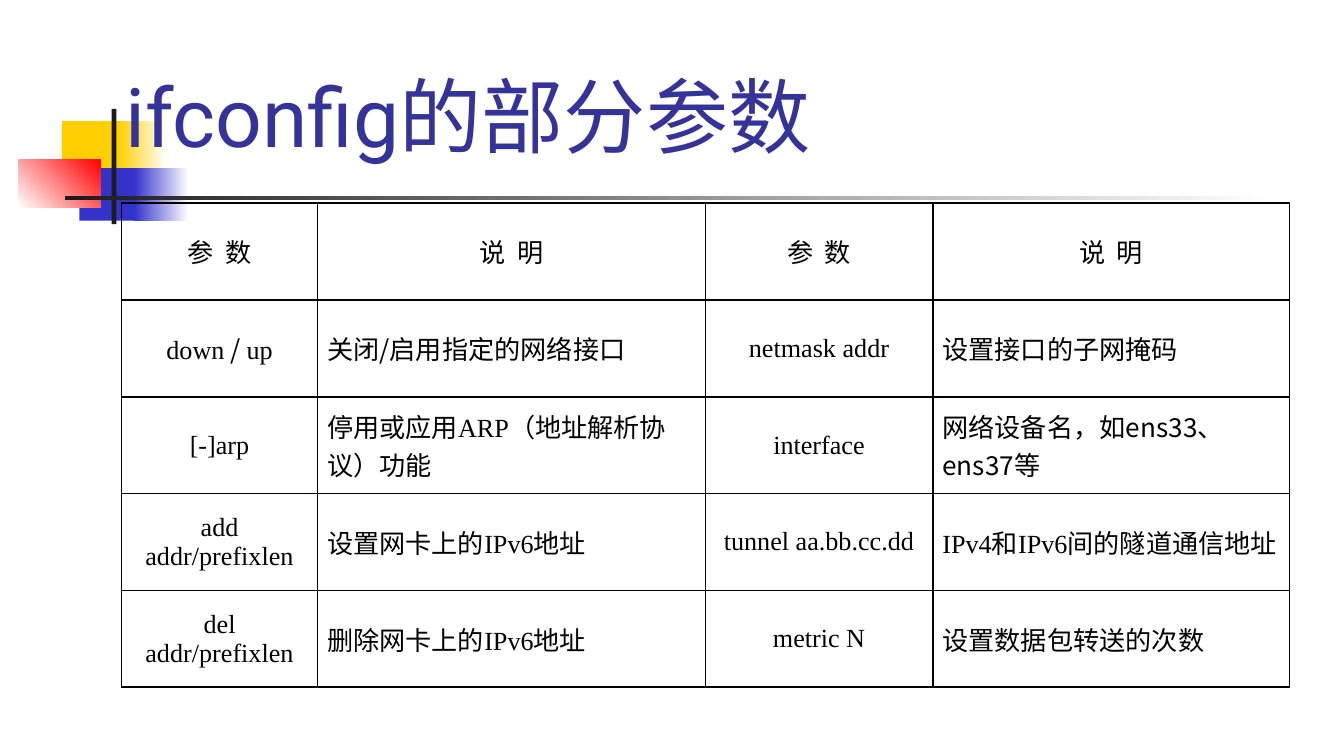
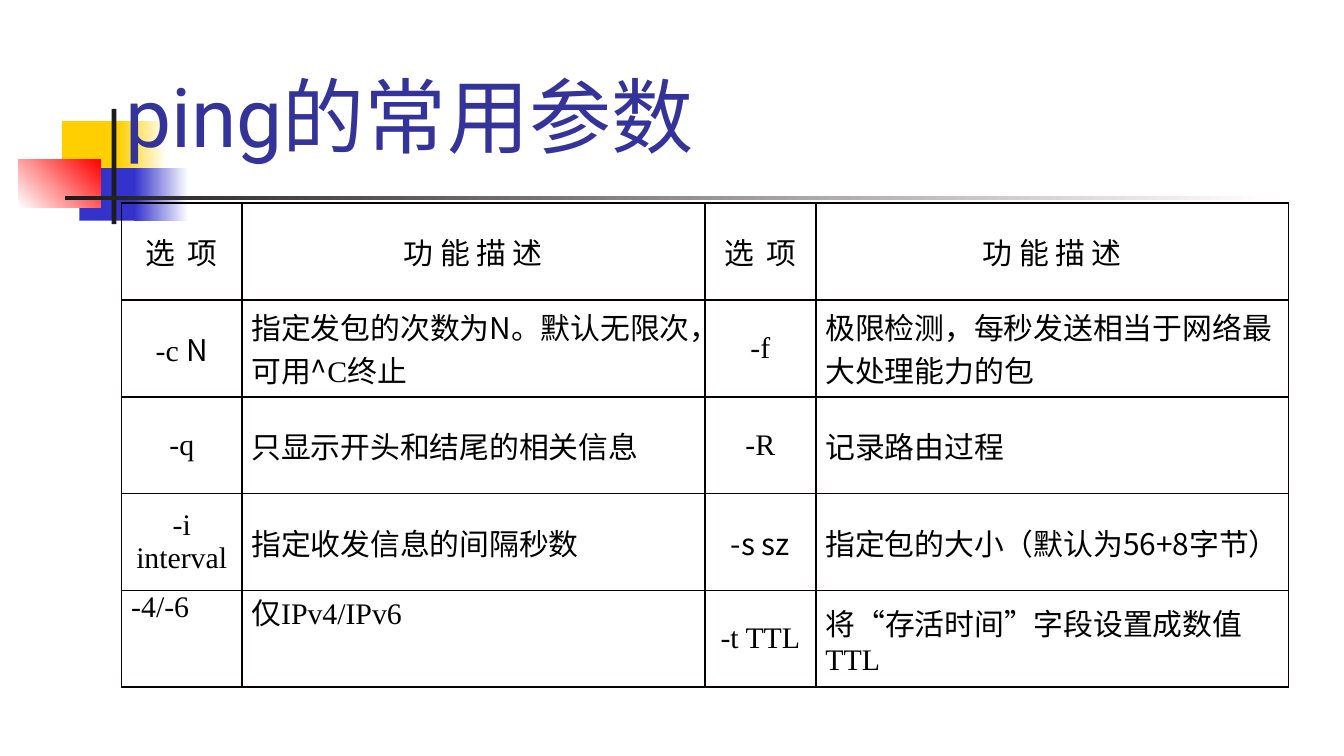
from lxml.etree import SubElement
from pptx import Presentation
from pptx.dml.color import RGBColor
from pptx.enum.shapes import MSO_SHAPE as Shape
from pptx.enum.text import MSO_ANCHOR as Anchor, MSO_AUTO_SIZE as AutoSize, PP_ALIGN as Align
from pptx.oxml.ns import qn
from pptx.util import Cm, Pt

COLORS = {
    "yellow": "FFCF01", "blue": "3333CC", "red": "FF0000", "white": "FFFFFF",
    "rule": "1C1C1C", "title": "333399", "text": "000000", "border": "080000",
}
TITLE_FONT, SERIF, SANS = "Roboto", "Times New Roman", "Noto Sans CJK SC"
TITLE_LAYOUT = 5
TABLE_LEFT, TABLE_TOP, ROW_HEIGHT = 2.3, 3.84, 1.83

# Left, top, width, height in cm, then one colour or a gradient pair and its angle
ORNAMENTS = [
    (1.17, 2.29, 1.22, 0.99, ["yellow"], 0),
    (2.24, 2.29, 0.91, 0.99, ["yellow", "white"], 0),
    (1.5, 3.18, 1.17, 0.99, ["blue"], 0),
    (2.54, 3.18, 1.02, 0.99, ["blue", "white"], 0),
    (0.35, 3.02, 1.56, 0.9, ["white", "red"], 45),
    (2.11, 2.06, 0.09, 2.18, ["rule"], 0),
    (1.22, 3.7, 22.86, 0.08, ["rule", "white"], 0),
]

# In each cell, "|" switches between the serif and the sans font
IFCONFIG_ROWS = [
    ["|参 数", "|说 明", "|参 数", "|说 明"],
    ["down| / |up", "关闭|/启用|指定的网络接口", "netmask addr", "设置接口的子网掩码"],
    ["[-]arp", "停用或应用ARP（地址解析协议）功能", "interface",
     "网络设备名，如|ens33、ens37等"],
    ["add addr/prefixlen", "设置网卡上的IPv6地址", "tunnel aa.bb.cc.dd",
     "IPv4和IPv6间的隧道通信地址"],
    ["del addr/prefixlen", "删除网卡上的IPv6地址", "metric N", "设置数据|包|转送的次数"],
]
PING_ROWS = [
    ["|选 项", "|功 能 描 述", "|选 项", "|功 能 描 述"],
    ["-c |N", "指定发包的|次|数为|N|。默认无限次，可用|^|C终止", "-f",
     "极限检测，每秒发送相当于网络|最大|处理能力的包"],
    ["-q", "|只显示|开头和结尾的相关信息", "-R", "记录路由过程"],
    ["-i interval", "指定收发信息的间隔秒数", "|-s sz", "|指定包的大小（默认为56+8字节）"],
    ["-4/-6", "仅IPv4/IPv6", "-t TTL", "将|“|存活时间|”|字段设置成数值TTL"],
]


def color(name):
    return RGBColor.from_string(COLORS[name])


def style_run(run, size, font, color_name):
    run.font.size = Pt(size)
    run.font.name = font
    run.font.color.rgb = color(color_name)
    SubElement(run.font._element, qn("a:ea"), typeface=SANS)


def add_ornament(slide, left, top, width, height, names, angle):
    block = slide.shapes.add_shape(
        Shape.RECTANGLE, Cm(left), Cm(top), Cm(width), Cm(height))
    block.shadow.inherit = False
    block.line.fill.background()
    if len(names) == 1:
        block.fill.solid()
        block.fill.fore_color.rgb = color(names[0])
    else:
        block.fill.gradient()
        block.fill.gradient_angle = angle
        for stop, name in zip(block.fill.gradient_stops, names):
            stop.color.rgb = color(name)
    return block


def decorate_layout(layout, slide):
    """Draw the ornaments and move them to the layout, behind its placeholders."""
    for position, ornament in enumerate(ORNAMENTS, start=2):
        block = add_ornament(slide, *ornament)
        layout.shapes.element.insert(position, block.element)


def set_title(slide, text):
    title = slide.shapes.title
    title.left, title.top, title.width, title.height = Cm(2.11), Cm(0.84), Cm(22.66), Cm(2.39)
    frame = title.text_frame
    frame.text = text
    frame.word_wrap = True
    frame.auto_size = AutoSize.NONE
    frame.vertical_anchor = Anchor.BOTTOM
    heading = frame.paragraphs[0]
    heading.alignment = Align.LEFT
    style_run(heading.runs[0], 44, TITLE_FONT, "title")


def set_borders(cell):
    properties = cell._tc.get_or_add_tcPr()
    for side in ("lnL", "lnR", "lnT", "lnB"):
        border = SubElement(properties, qn(f"a:{side}"), w=str(Pt(1)))
        fill = SubElement(border, qn("a:solidFill"))
        SubElement(fill, qn("a:srgbClr"), val=COLORS["border"])


def fill_cell(cell, text, size, centred, anchor):
    set_borders(cell)
    cell.fill.background()
    cell.margin_left = cell.margin_right = Cm(0.18)
    cell.margin_top = cell.margin_bottom = 0
    cell.vertical_anchor = anchor
    paragraph = cell.text_frame.paragraphs[0]
    paragraph.alignment = Align.CENTER if centred else Align.LEFT
    for index, part in enumerate(text.split("|")):
        if part:
            run = paragraph.add_run()
            run.text = part
            style_run(run, size, SANS if index % 2 else SERIF, "text")


def widen_heading(cell):
    """Open up a heading of two characters by letter spacing."""
    for run in cell.text_frame.paragraphs[0].runs:
        if len(run.text) == 3:
            run.font._element.set("spc", "150")


def add_parameter_table(slide, rows, widths, size, top_left_cells=()):
    table = slide.shapes.add_table(
        len(rows), len(widths), Cm(TABLE_LEFT), Cm(TABLE_TOP),
        Cm(sum(widths)), Cm(ROW_HEIGHT * len(rows))).table
    table.first_row = table.horz_banding = False
    for column, width in zip(table.columns, widths):
        column.width = Cm(width)
    for r, texts in enumerate(rows):
        table.rows[r].height = Cm(ROW_HEIGHT)
        for c, text in enumerate(texts):
            at_top_left = (r, c) in top_left_cells
            centred = (r == 0 or c % 2 == 0) and not at_top_left
            anchor = Anchor.TOP if at_top_left else Anchor.MIDDLE
            fill_cell(table.cell(r, c), text, size, centred, anchor)
            if r == 0:
                widen_heading(table.cell(r, c))


def main():
    deck = Presentation()
    deck.slide_width, deck.slide_height = Cm(25.4), Cm(14.29)
    layout = deck.slide_layouts[TITLE_LAYOUT]

    # ifconfig parameters
    ifconfig = deck.slides.add_slide(layout)
    decorate_layout(layout, ifconfig)
    set_title(ifconfig, "ifconfig的部分参数")
    add_parameter_table(ifconfig, IFCONFIG_ROWS, [3.7, 7.33, 4.3, 6.74], 14)

    # ping options
    ping = deck.slides.add_slide(layout)
    set_title(ping, "ping的常用参数")
    add_parameter_table(ping, PING_ROWS, [2.27, 8.75, 2.1, 8.93], 16,
                        top_left_cells={(4, 0), (4, 1)})

    deck.save("out.pptx")


if __name__ == "__main__":
    main()
